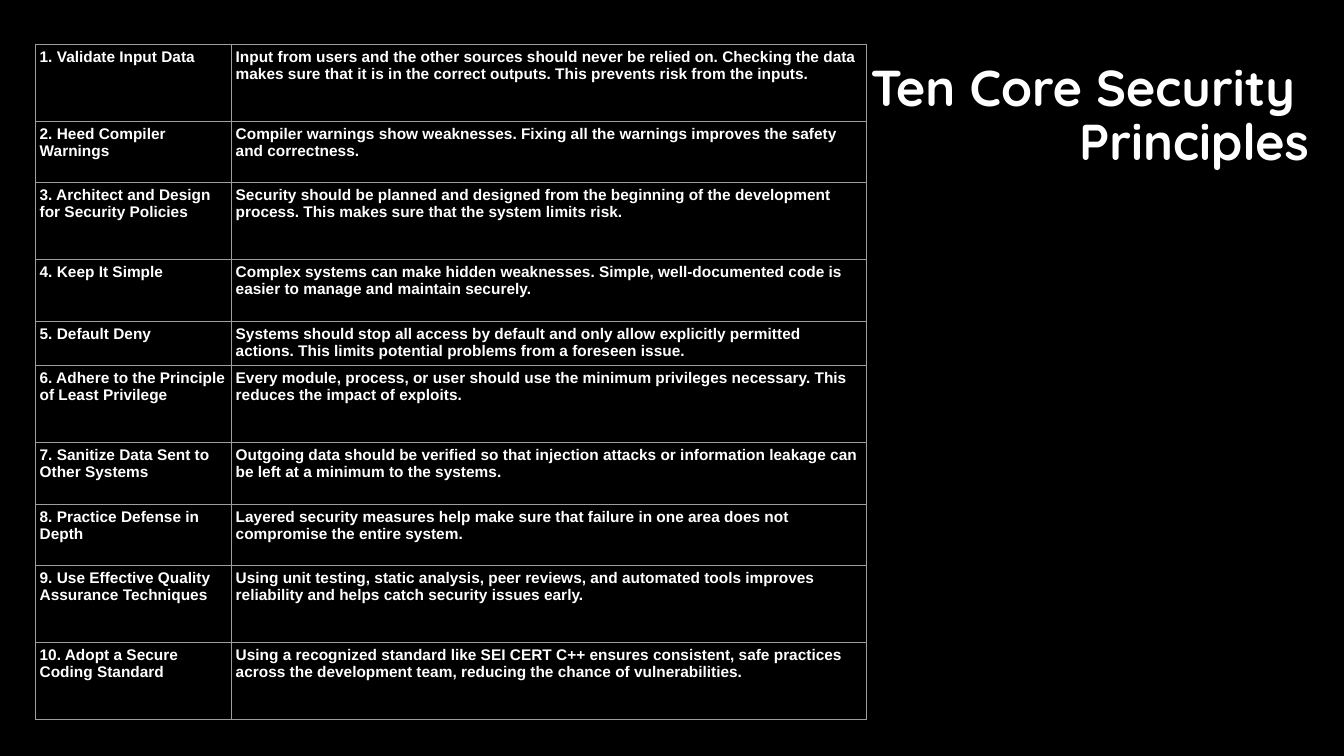
from dataclasses import dataclass

from lxml.etree import SubElement
from pptx import Presentation
from pptx.dml.color import RGBColor
from pptx.enum.text import MSO_ANCHOR, PP_ALIGN
from pptx.oxml.ns import qn
from pptx.slide import Slide
from pptx.table import _Cell
from pptx.text.text import _Paragraph
from pptx.util import Cm, Pt


@dataclass(frozen=True)
class Theme:
    background: str = "000000"
    text: str = "FFFFFF"
    border: str = "9E9E9E"
    border_width: float = 0.75
    title_font: str = "Quicksand"
    title_size: int = 36
    body_font: str = "Arial"
    body_size: int = 11


@dataclass(frozen=True)
class Principle:
    name: str
    detail: str
    height: float


THEME = Theme()
TALL, MEDIUM, SHORT = 1.94, 1.55, 1.12
COLUMNS = (4.94, 16.0)
CELL_INSET = 0.11

PRINCIPLES = (
    Principle("Validate Input Data",
              "Input from users and the other sources should never be relied on. Checking the data "
              "makes sure that it is in the correct outputs. This prevents risk from the inputs.", TALL),
    Principle("Heed Compiler Warnings",
              "Compiler warnings show weaknesses. Fixing all the warnings improves the safety "
              "and correctness.", MEDIUM),
    Principle("Architect and Design for Security Policies",
              "Security should be planned and designed from the beginning of the development "
              "process. This makes sure that the system limits risk.", TALL),
    Principle("Keep It Simple",
              "Complex systems can make hidden weaknesses. Simple, well-documented code is "
              "easier to manage and maintain securely.", MEDIUM),
    Principle("Default Deny",
              "Systems should stop all access by default and only allow explicitly permitted "
              "actions. This limits potential problems from a foreseen issue.", SHORT),
    Principle("Adhere to the Principle of Least Privilege",
              "Every module, process, or user should use the minimum privileges necessary. This "
              "reduces the impact of exploits.", TALL),
    Principle("Sanitize Data Sent to Other Systems",
              "Outgoing data should be verified so that injection attacks or information leakage can "
              "be left at a minimum to the systems.", MEDIUM),
    Principle("Practice Defense in Depth",
              "Layered security measures help make sure that failure in one area does not "
              "compromise the entire system.", MEDIUM),
    Principle("Use Effective Quality Assurance Techniques",
              "Using unit testing, static analysis, peer reviews, and automated tools improves "
              "reliability and helps catch security issues early.", TALL),
    Principle("Adopt a Secure Coding Standard",
              "Using a recognized standard like SEI CERT C++ ensures consistent, safe practices "
              "across the development team, reducing the chance of vulnerabilities.", TALL),
)


def add_run(p: _Paragraph, text: str, font: str, size: int) -> None:
    r = p.add_run()
    r.text = text
    r.font.name = font
    r.font.size = Pt(size)
    r.font.bold = True
    r.font.color.rgb = RGBColor.from_string(THEME.text)


def add_borders(cell: _Cell) -> None:
    tc_pr = cell._tc.get_or_add_tcPr()
    for i, side in enumerate(("lnL", "lnR", "lnT", "lnB")):
        ln = SubElement(tc_pr, qn(f"a:{side}"), w=str(Pt(THEME.border_width)))
        fill = SubElement(ln, qn("a:solidFill"))
        SubElement(fill, qn("a:srgbClr"), val=THEME.border)
        tc_pr.insert(i, ln)


def fill_cell(cell: _Cell, text: str) -> None:
    cell.margin_left = cell.margin_right = Cm(CELL_INSET)
    cell.margin_top = cell.margin_bottom = Cm(CELL_INSET)
    cell.fill.background()
    add_borders(cell)
    add_run(cell.text_frame.paragraphs[0], text, THEME.body_font, THEME.body_size)


def add_principles(s: Slide) -> None:
    height = sum(item.height for item in PRINCIPLES)
    table = s.shapes.add_table(len(PRINCIPLES), len(COLUMNS), Cm(0.89), Cm(1.11),
                               Cm(sum(COLUMNS)), Cm(height)).table
    table.first_row = False
    table.horz_banding = False
    for column, width in zip(table.columns, COLUMNS):
        column.width = Cm(width)
    for i, item in enumerate(PRINCIPLES):
        table.rows[i].height = Cm(item.height)
        fill_cell(table.cell(i, 0), f"{i + 1}. {item.name}")
        fill_cell(table.cell(i, 1), item.detail)


def add_title(s: Slide) -> None:
    tf = s.shapes.add_textbox(Cm(21.56), Cm(1.85), Cm(11.68), Cm(3.58)).text_frame
    tf.word_wrap = True
    tf.vertical_anchor = MSO_ANCHOR.MIDDLE
    tf.margin_bottom = Cm(1.5)
    p = tf.paragraphs[0]
    p.alignment = PP_ALIGN.RIGHT
    p.line_spacing = 0.9
    add_run(p, "Ten Core Security ", THEME.title_font, THEME.title_size)
    p.add_line_break()
    add_run(p, "Principles", THEME.title_font, THEME.title_size)


def main() -> None:
    prs = Presentation()
    prs.slide_width, prs.slide_height = Cm(33.87), Cm(19.05)
    s = prs.slides.add_slide(prs.slide_layouts[6])
    s.background.fill.solid()
    s.background.fill.fore_color.rgb = RGBColor.from_string(THEME.background)
    add_principles(s)
    add_title(s)
    prs.save("out.pptx")


if __name__ == "__main__":
    main()
